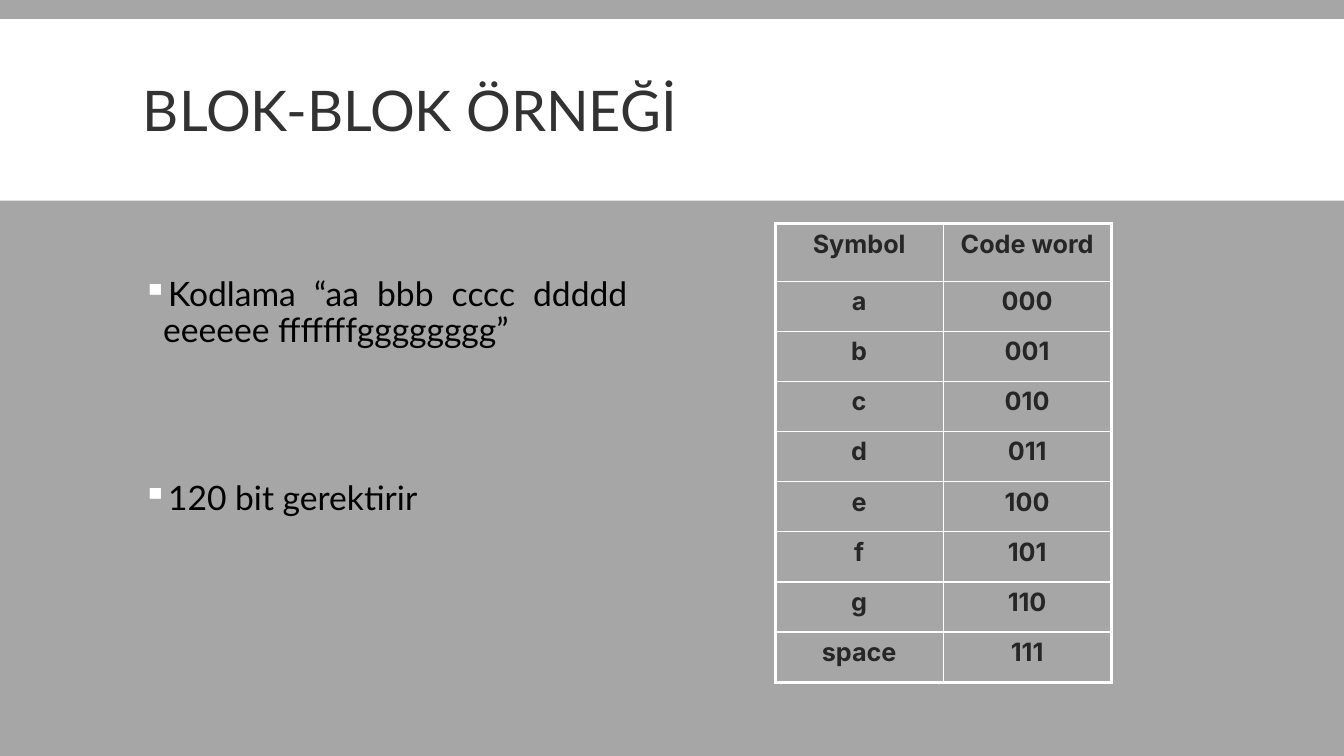
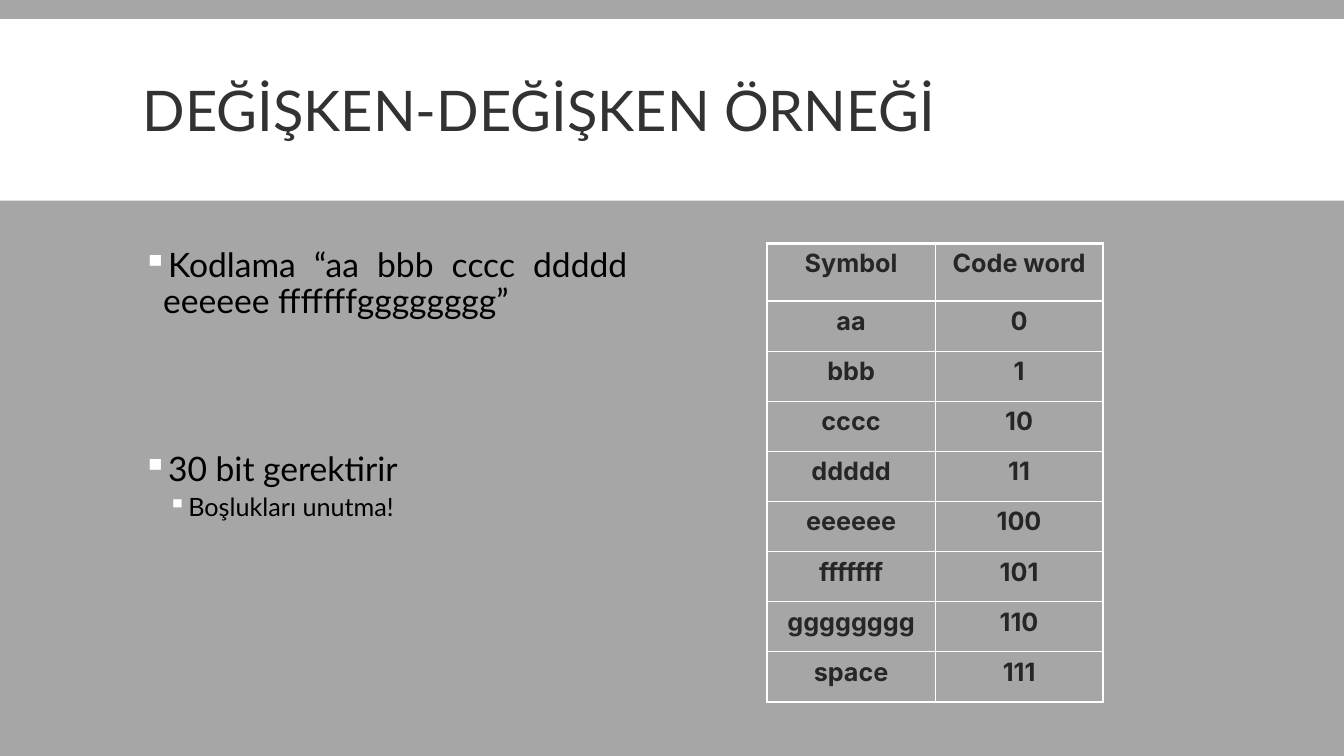
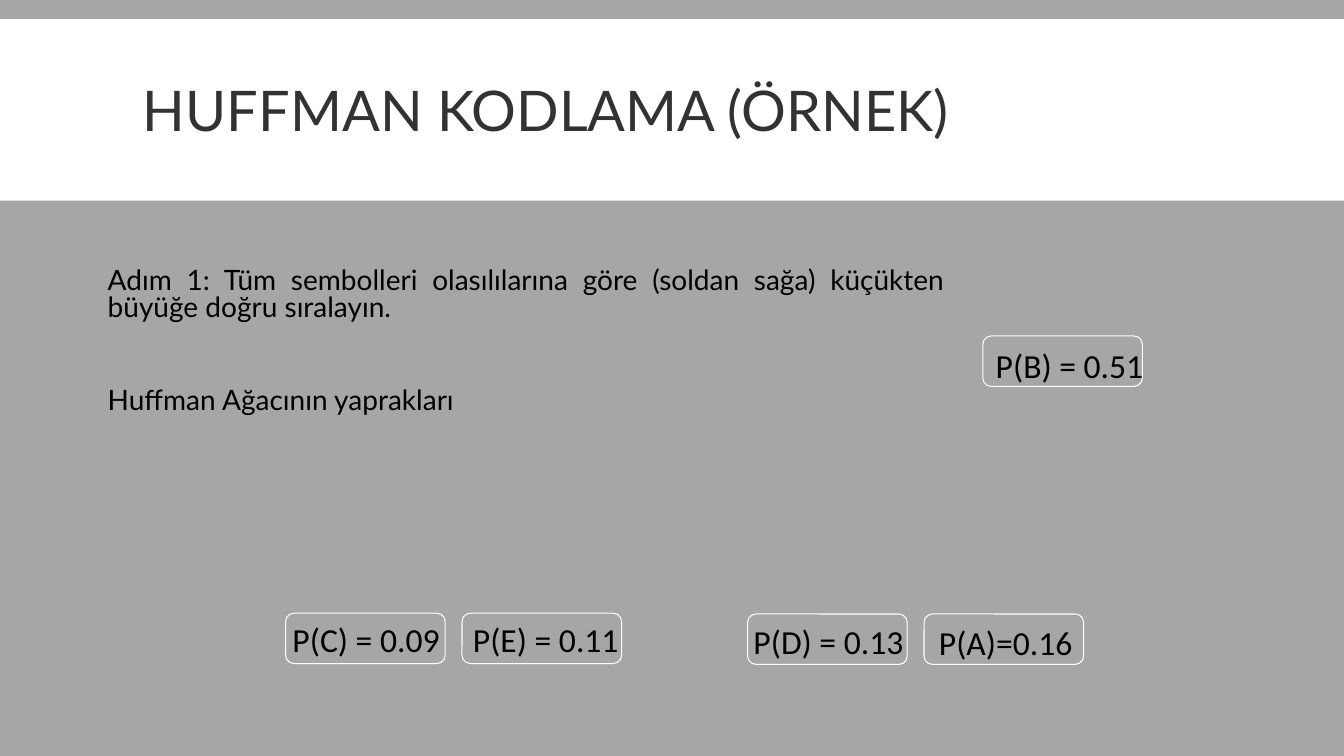
from dataclasses import dataclass

from lxml.etree import SubElement
from pptx import Presentation
from pptx.dml.color import RGBColor
from pptx.enum.shapes import MSO_SHAPE
from pptx.enum.text import MSO_ANCHOR, MSO_AUTO_SIZE, PP_ALIGN
from pptx.oxml.ns import qn
from pptx.util import Emu, Inches, Pt

COLUMNS, ROWS = 160, 90
WIDTH, HEIGHT = Inches(13.33), Inches(7.5)


@dataclass(frozen=True)
class Theme:
    backdrop: str = "A6A6A6"
    white: str = "FFFFFF"
    title: str = "323232"
    body: str = "000000"
    cell: str = "262626"
    text_font: str = "Lato"
    table_font: str = "Inter"
    leaf_font: str = "Calibri"
    title_size: int = 40
    body_size: int = 24
    step_size: int = 20
    small_size: int = 18
    outer_line: float = 2.25
    inner_line: float = 1
    leaf_line: float = 0.75


@dataclass(frozen=True)
class Box:
    left: float
    top: float
    width: float
    height: float

    def place(self):
        across, down = WIDTH / COLUMNS, HEIGHT / ROWS
        return (Emu(round(self.left * across)), Emu(round(self.top * down)),
                Emu(round(self.width * across)), Emu(round(self.height * down)))


@dataclass(frozen=True)
class Line:
    text: str
    size: int
    before: float = 12
    after: float = 2
    spacing: float = 0.9
    indent: float = 0
    level: int = 0


THEME = Theme()
BAND = Box(0, 2.28, COLUMNS, 21.6)
TITLE = Box(15.84, 3.72, 128.4, 19.8)
HANGING = 0.2


def style(para, font, size, color, bold=False):
    for span in para.runs:
        span.font.name = font
        span.font.size = Pt(size)
        span.font.bold = bold
        span.font.color.rgb = RGBColor.from_string(color)


def add_bullet(para, indent):
    properties = para._p.get_or_add_pPr()
    properties.set("marL", str(Inches(indent)))
    properties.set("indent", str(-Inches(HANGING)))
    color = SubElement(properties, qn("a:buClr"))
    SubElement(color, qn("a:srgbClr"), val=THEME.white)
    SubElement(properties, qn("a:buChar"), char="▪")


def add_page(deck, title):
    page = deck.slides.add_slide(deck.slide_layouts[6])
    band = page.shapes.add_shape(MSO_SHAPE.RECTANGLE, *BAND.place())
    band.shadow.inherit = False
    band.fill.solid()
    band.fill.fore_color.rgb = RGBColor.from_string(THEME.white)
    band.line.fill.background()
    frame = page.shapes.add_textbox(*TITLE.place()).text_frame
    frame.word_wrap = True
    frame.vertical_anchor = MSO_ANCHOR.MIDDLE
    frame.text = title
    frame.paragraphs[0].line_spacing = 0.85
    style(frame.paragraphs[0], THEME.text_font, THEME.title_size, THEME.title)
    return page


def add_body(page, box, lines):
    frame = page.shapes.add_textbox(*box.place()).text_frame
    frame.word_wrap = True
    frame.text = "\n".join(line.text for line in lines)
    for para, line in zip(frame.paragraphs, lines):
        para.alignment = PP_ALIGN.JUSTIFY
        para.level = line.level
        para.line_spacing = line.spacing
        para.space_before = Pt(line.before)
        para.space_after = Pt(line.after)
        if line.indent:
            add_bullet(para, line.indent)
        style(para, THEME.text_font, line.size, THEME.body)


def add_borders(cell, outer_sides):
    properties = cell._tc.get_or_add_tcPr()
    for side in "LRTB":
        width = THEME.outer_line if side in outer_sides else THEME.inner_line
        border = SubElement(properties, qn(f"a:ln{side}"), w=str(Pt(width)))
        fill = SubElement(border, qn("a:solidFill"))
        SubElement(fill, qn("a:srgbClr"), val=THEME.white)


def add_code_table(page, box, symbols, codes):
    entries = [("Symbol", "Code word"), *zip(symbols, codes)]
    table = page.shapes.add_table(len(entries), 2, *box.place()).table
    table.first_row = table.horz_banding = False
    header_height = Inches(0.57)
    row_height = (box.place()[3] - header_height) // len(symbols)
    for row, entry in enumerate(entries):
        table.rows[row].height = row_height if row else header_height
        for column, text in enumerate(entry):
            cell = table.cell(row, column)
            outer_sides = "LR"[column]
            if row == 0:
                outer_sides += "T"
            if row == len(symbols):
                outer_sides += "B"
            add_borders(cell, outer_sides)
            cell.fill.background()
            cell.text = text
            para = cell.text_frame.paragraphs[0]
            para.alignment = PP_ALIGN.CENTER
            style(para, THEME.table_font, THEME.small_size, THEME.cell, True)


def add_leaf(page, box, text, label):
    leaf = page.shapes.add_shape(MSO_SHAPE.ROUNDED_RECTANGLE, *box.place())
    leaf.shadow.inherit = False
    leaf.fill.background()
    leaf.line.color.rgb = RGBColor.from_string(THEME.white)
    leaf.line.width = Pt(THEME.leaf_line)
    right, down, width = label
    label_box = Box(box.left + right, box.top + down, width, box.height)
    frame = page.shapes.add_textbox(*label_box.place()).text_frame
    frame.word_wrap = False
    frame.auto_size = MSO_AUTO_SIZE.SHAPE_TO_FIT_TEXT
    frame.text = text
    style(frame.paragraphs[0], THEME.leaf_font, THEME.body_size, THEME.body)


def add_code_page(deck, title, body_top, result, table_corner, symbols, codes, note=None):
    page = add_page(deck, title)
    lines = [
        Line("Kodlama “aa bbb cccc ddddd eeeeee fffffffgggggggg”",
             THEME.body_size, indent=HANGING),
        Line(result, THEME.body_size, before=92, indent=HANGING),
    ]
    if note:
        lines.append(Line(note, THEME.small_size, before=2, after=4, indent=0.45, level=1))
    add_body(page, Box(TITLE.left, body_top, 60, 61), lines)
    add_code_table(page, Box(*table_corner, 40, 54.6), symbols, codes)


def add_tree_page(deck):
    page = add_page(deck, "HUFFMAN KODLAMA (ÖRNEK)")
    add_body(page, Box(11.64, 31.44, 102, 19), [
        Line("Adım 1: Tüm sembolleri olasılılarına göre (soldan sağa) "
             "küçükten büyüğe doğru sıralayın.", THEME.step_size, spacing=0.8),
        Line("Huffman Ağacının yaprakları", THEME.step_size, before=45, spacing=0.8),
    ])
    leaves = [
        (34, 73, "P(C) = 0.09", (-0.36, 0.12, 20)),
        (55, 73, "P(E) = 0.11", (0.12, 0.12, 19.9)),
        (89, 73.1, "P(D) = 0.13", (-0.48, 0.24, 20.4)),
        (110, 73.1, "P(A)=0.16", (0.6, 0.36, 18.5)),
        (117, 40, "P(B) = 0.51", (0.36, 0.48, 20)),
    ]
    for left, top, text, label in leaves:
        add_leaf(page, Box(left, top, 19, 6), text, label)


def main():
    deck = Presentation()
    deck.slide_width, deck.slide_height = WIDTH, HEIGHT
    backdrop = deck.slide_master.background.fill
    backdrop.solid()
    backdrop.fore_color.rgb = RGBColor.from_string(THEME.backdrop)
    add_code_page(deck, "BLOK-BLOK ÖRNEĞİ", 32.4, "120 bit gerektirir",
                  (92.28, 26.64), [*"abcdefg", "space"],
                  [f"{number:03b}" for number in range(8)])
    add_code_page(deck, "DEĞİŞKEN-DEĞİŞKEN ÖRNEĞİ", 29, "30 bit gerektirir",
                  (91.32, 29),
                  [*(letter * count for count, letter in enumerate("abcdefg", 2)), "space"],
                  [f"{number:b}" for number in range(8)],
                  "Boşlukları unutma!")
    add_tree_page(deck)
    deck.save("out.pptx")


main()
